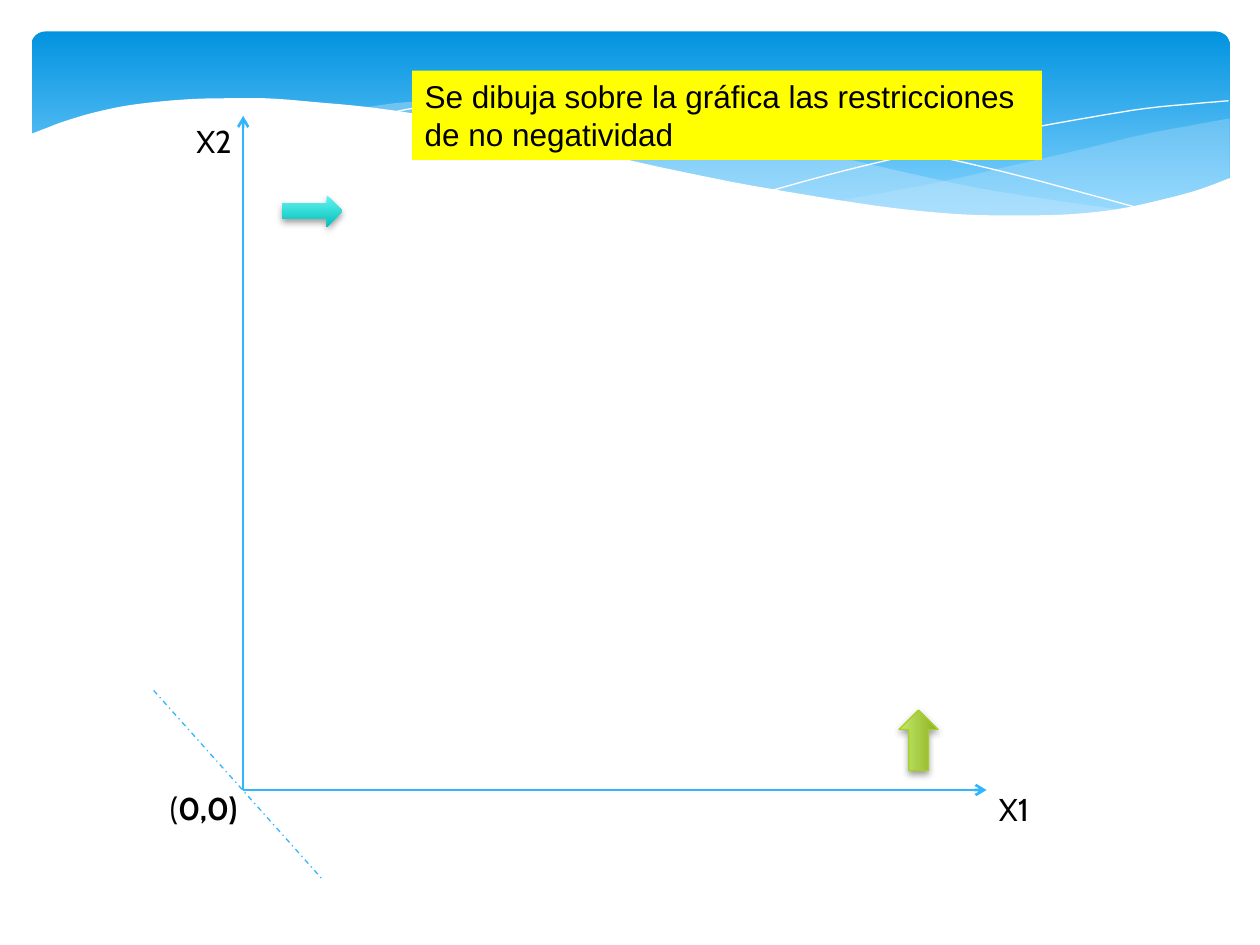
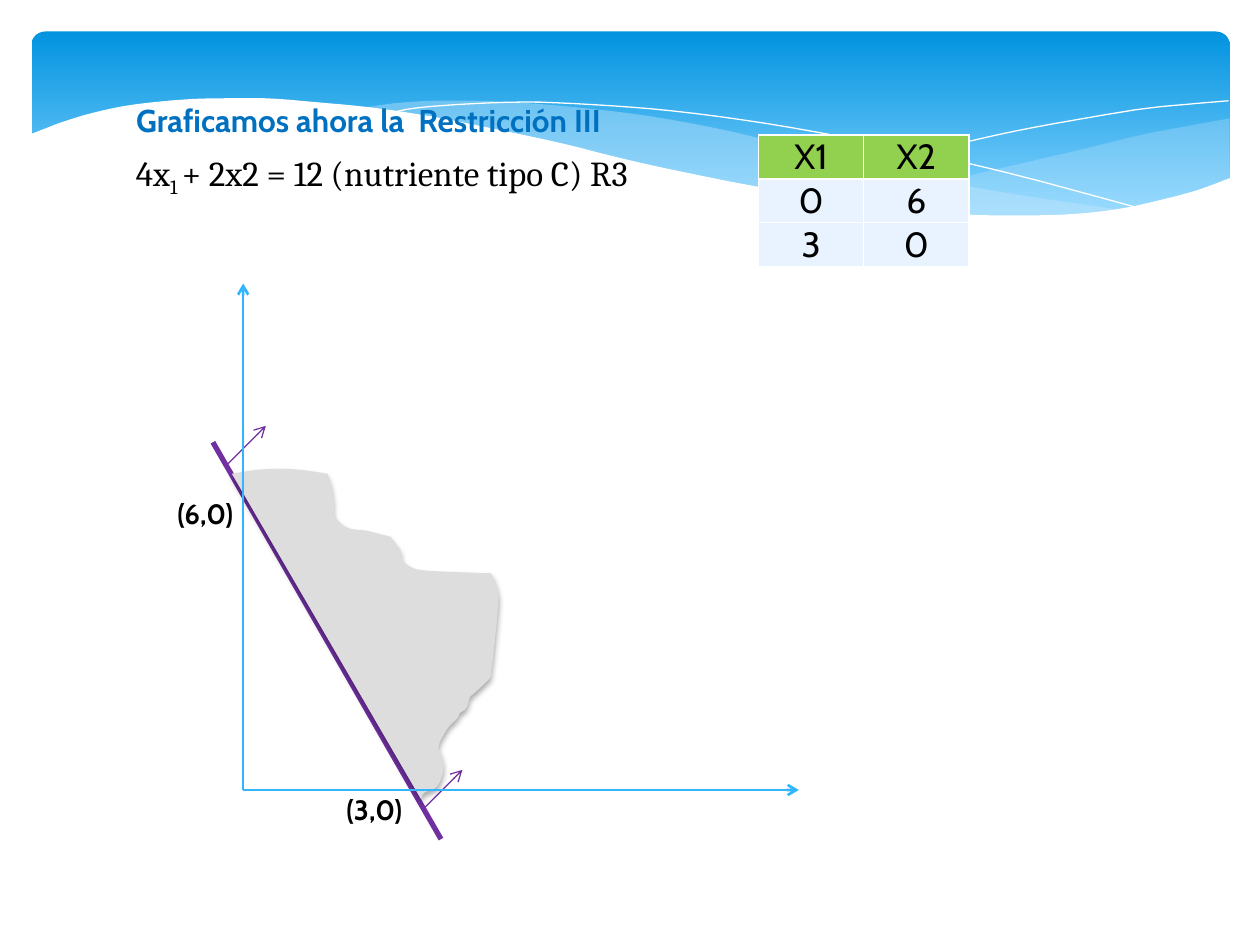
from pptx import Presentation
from pptx import util as u
from pptx.dml.color import RGBColor
from pptx.enum import dml, shapes, text
from pptx.oxml import parse_xml
from pptx.oxml.ns import nsdecls, qn

# The slide is a grid of 10 columns by 7.5 rows of square cells
WIDE, HIGH = u.Inches(10), u.Inches(7.5)
CELL = WIDE // 10
ORIGIN = (1.93, 6.27)
SKY, PALE, WHITE, BLACK, PURPLE = "31B6FD", "C6E7FC", "FFFFFF", "000000", "7030A0"
LABEL = {"size": u.Pt(18), "name": "Cabin", "bold": False}
POINT = {"size": u.Pt(16), "name": "Cabin", "bold": True}

# Knots of the smooth curves; a new list starts at each corner
VEIL = [
    [(9.76, 0.94), (9.48, 0.99), (9.06, 1.07), (8.61, 1.18), (8.05, 1.31),
     (7.53, 1.43), (7.06, 1.52), (6.61, 1.6)],
    [(6.61, 1.6), (7.05, 1.65), (7.45, 1.69), (7.81, 1.72), (8.14, 1.72),
     (8.54, 1.7), (8.89, 1.66), (9.21, 1.6), (9.49, 1.52), (9.76, 1.41)],
]
RIBBON = [
    [(8.93, 1.67), (8.37, 1.59), (7.75, 1.49), (7.06, 1.34), (6.29, 1.16),
     (5.69, 1.02), (5.14, 0.92), (4.65, 0.86), (4.2, 0.82), (3.8, 0.8),
     (3.44, 0.8), (3.13, 0.82), (2.86, 0.86)],
    [(2.86, 0.86), (3.42, 0.94), (4.04, 1.06), (4.91, 1.26), (5.66, 1.43),
     (6.34, 1.56), (6.95, 1.65), (7.48, 1.7), (7.96, 1.73), (8.38, 1.72),
     (8.93, 1.67)],
]
LONG = [[(3.09, 0.9), (3.28, 0.86), (3.63, 0.83), (4.16, 0.81), (4.69, 0.83),
         (5.33, 0.88), (6.08, 0.98), (6.95, 1.14), (7.95, 1.36), (9.07, 1.66)]]
RISE = [[(6.13, 1.51), (6.72, 1.35), (7.48, 1.17), (8.06, 1.04), (8.66, 0.93),
         (9.1, 0.86), (9.51, 0.82), (9.75, 0.8)]]
WAVE = [
    [(9.77, 1.41), (9.5, 1.51), (9.2, 1.59), (8.87, 1.66), (8.5, 1.7),
     (8.09, 1.71), (7.61, 1.7), (7.08, 1.65), (6.48, 1.56), (5.79, 1.44),
     (5.03, 1.28), (4.47, 1.14), (3.91, 1.02), (3.4, 0.92), (2.92, 0.85),
     (2.5, 0.81), (2.11, 0.78), (1.77, 0.78), (1.46, 0.79), (1.06, 0.83),
     (0.76, 0.89), (0.52, 0.96), (0.36, 1.02), (0.23, 1.07)],
    [(0.23, 2.24), (9.77, 2.24)],
]
REGION = [
    [(1.84, 3.76), (2.03, 3.73), (2.22, 3.72), (2.4, 3.73), (2.6, 3.76)],
    [(2.6, 3.76), (2.63, 3.85), (2.65, 3.97), (2.66, 4.1), (2.76, 4.19),
     (2.9, 4.21), (3.02, 4.24), (3.1, 4.26)],
    [(3.1, 4.26), (3.18, 4.37), (3.19, 4.44), (3.26, 4.5), (3.4, 4.53),
     (3.9, 4.55)],
    [(3.9, 4.55), (3.95, 4.69), (3.95, 4.85), (3.9, 5.32), (3.87, 5.4),
     (3.73, 5.53)],
    [(3.73, 5.53), (3.7, 5.62), (3.65, 5.66), (3.63, 5.7), (3.56, 5.77),
     (3.5, 5.87), (3.48, 5.94), (3.5, 5.98), (3.52, 6.1), (3.47, 6.24),
     (3.37, 6.29), (3.34, 6.34)],
]


def rgb(code):
    return RGBColor.from_string(code)


def grid(*cells):
    return [round(n * CELL) for n in cells]


def smooth(knots, steps=4):
    """Points of a Catmull-Rom curve through the knots."""
    ends = [knots[0], *knots, knots[-1]]
    points = [knots[0]]
    for a, b, c, d in zip(ends, ends[1:], ends[2:], ends[3:]):
        for i in range(1, steps + 1):
            t = i / steps
            points.append(tuple(
                (2 * q + (r - p) * t + (2 * p - 5 * q + 4 * r - s) * t ** 2
                 + (3 * q - p - 3 * r + s) * t ** 3) / 2
                for p, q, r, s in zip(a, b, c, d)))
    return points


def paint(shape, fill=None, line=None, width=0.0, clear=None):
    """Fill is a hex colour, or a list of (share, hex) running downwards."""
    shape.shadow.inherit = False
    if fill is None:
        shape.fill.background()
    elif isinstance(fill, str):
        shape.fill.solid()
        shape.fill.fore_color.rgb = rgb(fill)
    else:
        shape.fill.gradient()
        shape.fill.gradient_angle = 270
        for stop, (share, code) in zip(shape.fill.gradient_stops, fill):
            stop.position, stop.color.rgb = share, rgb(code)
    if clear:
        color = shape._element.spPr.find(".//" + qn("a:srgbClr"))
        color.append(parse_xml(f'<a:alpha {nsdecls("a")} val="{clear * 1000}"/>'))
    if line:
        shape.line.color.rgb = rgb(line)
        shape.line.width = u.Pt(width)
    else:
        shape.line.fill.background()


def shade(shape, alpha, blur, drop):
    glow = parse_xml(
        f'<a:outerShdw {nsdecls("a")} blurRad="{u.Pt(blur)}" dist="{u.Pt(drop)}" '
        f'dir="5400000" rotWithShape="0"><a:srgbClr val="{BLACK}">'
        f'<a:alpha val="{alpha * 1000}"/></a:srgbClr></a:outerShdw>')
    shape._element.spPr.find(qn("a:effectLst")).append(glow)


def trace(slide, curves, close=True, **look):
    dots = [(x * 1000, y * 1000) for knots in curves for x, y in smooth(knots)]
    pen = slide.shapes.build_freeform(*dots[0], scale=CELL / 1000)
    pen.add_line_segments(dots[1:], close=close)
    shape = pen.convert_to_shape()
    paint(shape, **look)
    return shape


def block(slide, kind, box, **look):
    shape = slide.shapes.add_shape(kind, *grid(*box))
    paint(shape, **look)
    return shape


def arrow(slide, box, fill, line=None, turn=0):
    shape = block(slide, shapes.MSO_SHAPE.RIGHT_ARROW, box, fill=fill,
                  line=line, width=0.75)
    shape.rotation = turn
    shade(shape, 38, 4, 2)


def rule(slide, start, end, color, width, dash=None, head=False):
    line = slide.shapes.add_connector(
        shapes.MSO_CONNECTOR.STRAIGHT, *grid(*start, *end))
    line.line.color.rgb = rgb(color)
    line.line.width = u.Pt(width)
    if dash:
        line.line.dash_style = dash
    if head:
        line.line._get_or_add_ln().append(
            parse_xml(f'<a:tailEnd {nsdecls("a")} type="arrow"/>'))
    line._element.spPr.append(parse_xml(f'<a:effectLst {nsdecls("a")}/>'))


def axis(slide, end):
    rule(slide, ORIGIN, end, SKY, 1.5, head=True)


def style(run, look, color=BLACK):
    for key, value in look.items():
        setattr(run.font, key, value)
    run.font.color.rgb = rgb(color)


def write(shape, parts, look, color=BLACK):
    """Parts are (words, changed format) pairs of one paragraph."""
    frame = shape.text_frame
    for key, value in {"word_wrap": True, "auto_size": text.MSO_AUTO_SIZE.NONE,
                       "vertical_anchor": text.MSO_ANCHOR.TOP}.items():
        setattr(frame, key, value)
    line = frame.paragraphs[0]
    line.alignment = text.PP_ALIGN.LEFT
    for words, change in parts:
        run = line.add_run()
        run.text = words
        style(run, {**look, **change}, color)
    return line


def label(slide, box, parts, look):
    if isinstance(parts, str):
        parts = [(parts, {})]
    return write(slide.shapes.add_textbox(*grid(*box)), parts, look)


def head(slide, box, words, look, color=BLACK):
    title = slide.shapes.title
    title.left, title.top, title.width, title.height = grid(*box)
    write(title, [(words, {})], look, color)
    return title


def table(slide, box, rows):
    form = slide.shapes.add_table(len(rows), len(rows[0]), *grid(*box)).table
    for i, row in enumerate(rows):
        for j, words in enumerate(row):
            cell = form.cell(i, j)
            cell.text = words
            cell.vertical_anchor = text.MSO_ANCHOR.MIDDLE
            for side, gap in {"left": 0.01, "right": 0.01, "top": 0.01,
                              "bottom": 0}.items():
                setattr(cell, "margin_" + side, u.Inches(gap))
            line = cell.text_frame.paragraphs[0]
            line.alignment = text.PP_ALIGN.CENTER
            style(line.runs[0], {**LABEL, "size": u.Pt(20)})
            for edge in ("lnL", "lnR", "lnT", "lnB"):
                cell._tc.get_or_add_tcPr().append(parse_xml(
                    f'<a:{edge} {nsdecls("a")} w="{u.Pt(1)}"><a:solidFill>'
                    f'<a:srgbClr val="{WHITE}"/></a:solidFill></a:{edge}>'))
            cell.fill.solid()
            cell.fill.fore_color.rgb = rgb("E8F3FF" if i else "92D050")


def band(slide):
    """Draw the wavy band and hand it to the layout, so all slides share it."""
    back = block(slide, shapes.MSO_SHAPE.ROUNDED_RECTANGLE, (0.25, 0.25, 9.51, 1.56),
                 fill=[(0, "0293E0"), (0.9, "83D3FE")])
    back.adjustments[0] = 0.07
    parts = [
        back,
        trace(slide, VEIL, fill=PALE, clear=29),
        trace(slide, RIBBON, fill=PALE, clear=40),
        trace(slide, LONG, close=False, line=WHITE),
        trace(slide, RISE, close=False, line=WHITE),
        trace(slide, WAVE, fill=WHITE),
    ]
    tree = slide.slide_layout.shapes._spTree
    for i, part in enumerate(parts, 20):
        part._element.nvSpPr.cNvPr.set("id", str(i))
        tree.append(part._element)


def signs(slide):
    """Axes with the non-negativity restrictions."""
    axis(slide, (7.83, ORIGIN[1]))
    axis(slide, (ORIGIN[0], 0.92))
    note = head(slide, (3.27, 0.56, 5, 0.71),
                "Se dibuja sobre la gráfica las restricciones de no negatividad",
                {**LABEL, "name": "Arial"})
    note.fill.solid()
    note.fill.fore_color.rgb = rgb("FFFF00")
    label(slide, (7.83, 6.22, 0.48, 0.4), "X1", LABEL)
    label(slide, (1.46, 0.92, 0.48, 0.4), "X2", LABEL)
    rule(slide, (1.22, 5.48), (2.56, 6.98), SKY, 0.75, dml.MSO_LINE.DASH_DOT)
    label(slide, (1.25, 6.21, 0.78, 0.4), [("(", {}), ("0,0)", {"bold": True})], LABEL)
    arrow(slide, (7.05, 5.72, 0.48, 0.31), [(0, "C3E86A"), (1, "8DB222")],
          "A5D028", 270)
    arrow(slide, (2.24, 1.55, 0.48, 0.25), [(0, "65F5F1"), (1, "04C0BB")])


def third(slide):
    """Restriction III: equation, table of points and feasible side."""
    line = label(slide, (0.98, 1.15, 4.43, 0.44),
                 [("4x", {}), ("1 ", {}), ("+ 2x2 = 12 (nutriente tipo C) R3", {})],
                 {"size": u.Pt(20), "name": "Cambria"})
    line.runs[1].font._element.set("baseline", "-25000")
    head(slide, (0.98, 0.75, 4.28, 0.4), "Graficamos ahora la  Restricción III",
         {**LABEL, "bold": True}, "0070C0")
    table(slide, (6.02, 1.07, 1.67, 1.03), [("X1", "X2"), ("0", "6"), ("3", "0")])
    rule(slide, (1.69, 3.51), (3.5, 6.66), PURPLE, 3)
    for x, y in ((1.79, 3.7), (3.35, 6.43)):
        rule(slide, (x, y), (x + 0.32, y - 0.32), PURPLE, 0.75, head=True)
    # Both point labels stand clear of the line, on its left
    label(slide, (2.65, 6.24, 0.71, 0.37), "(3,0)", POINT)
    label(slide, (1.31, 3.89, 0.71, 0.37), "(6,0)", POINT)
    shade(trace(slide, REGION, fill="DDDDDD"), 32, 3.5, 2.2)
    axis(slide, (ORIGIN[0], 2.25))
    axis(slide, (6.34, ORIGIN[1]))


def main():
    deck = Presentation()
    deck.slide_width, deck.slide_height = WIDE, HIGH
    plain = deck.slide_layouts[5]
    first, second = (deck.slides.add_slide(plain) for _ in range(2))
    band(first)
    signs(first)
    third(second)
    deck.save("out.pptx")


if __name__ == "__main__":
    main()
